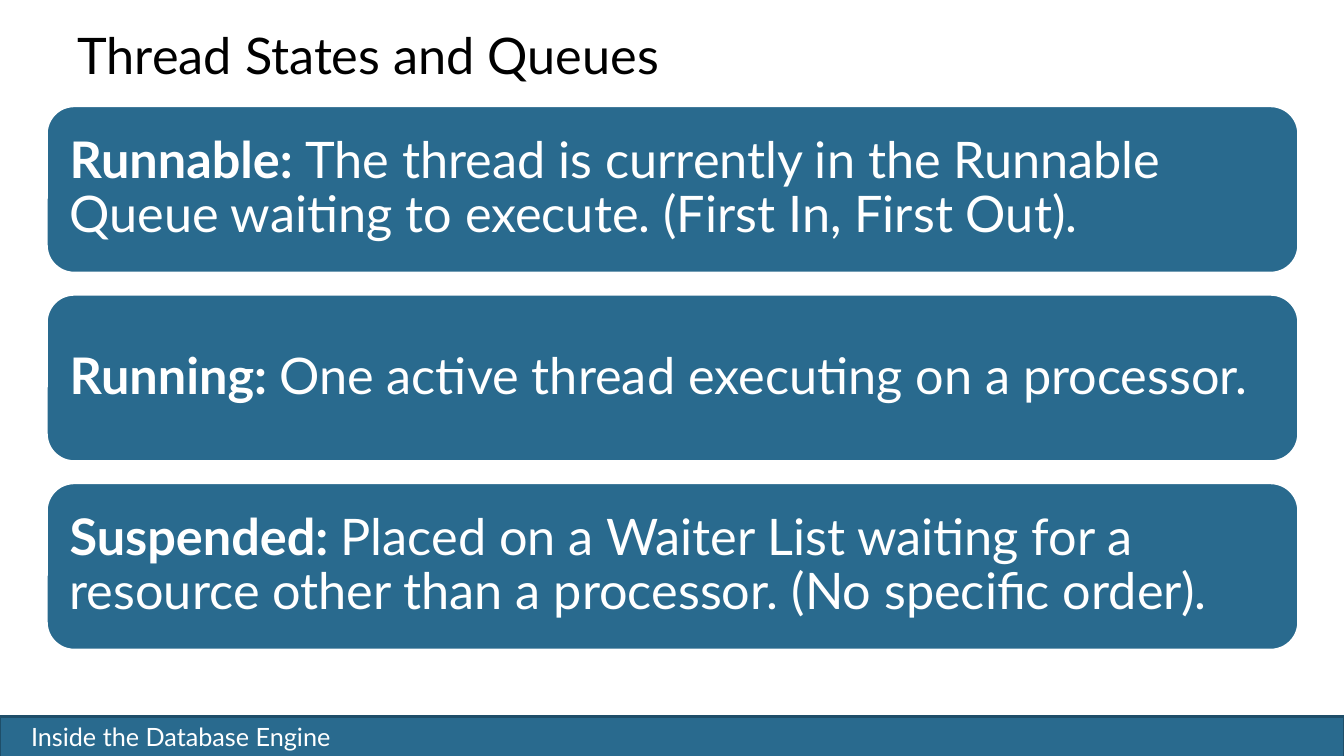
from pptx import Presentation
from pptx.dml.color import RGBColor
from pptx.enum.shapes import MSO_SHAPE as Shape
from pptx.enum.text import MSO_ANCHOR as Anchor, PP_ALIGN as Align
from pptx.util import Inches, Pt

TITLE = "Thread States and Queues"
FOOTER = "Inside the Database Engine"
STATES = [
    ("Runnable: ", "The thread is currently in the Runnable Queue waiting to execute. (First In, First Out)."),
    ("Running: ", "One active thread executing on a processor."),
    ("Suspended: ", "Placed on a Waiter List waiting for a resource other than a processor. (No specific order)."),
]
FONT = "Lato"
BLUE, DARK_BLUE, WHITE, BLACK = "296A8E", "1E4E69", "FFFFFF", "000000"
CARD_LEFT, CARD_TOP, CARD_WIDTH, CARD_HEIGHT = 0.46, 1.05, 12.42, 1.66
CARD_STEP = 1.87
CARD_INSET = 0.15


def color(value):
    return RGBColor.from_string(value)


def add_panel(page, kind, place, line):
    panel = page.shapes.add_shape(kind, *map(Inches, place))
    panel.shadow.inherit = False
    panel.fill.solid()
    panel.fill.fore_color.rgb = color(BLUE)
    panel.line.color.rgb = color(line)
    panel.line.width = Pt(2)
    return panel


def write(box, spans, size, ink, spacing=1.0, anchor=Anchor.TOP):
    """Fill the box with one paragraph of (text, bold) spans."""
    frame = box.text_frame
    frame.word_wrap = True
    frame.vertical_anchor = anchor
    para = frame.paragraphs[0]
    para.alignment = Align.LEFT
    para.line_spacing = spacing
    for text, bold in spans:
        span = para.add_run()
        span.text = text
        span.font.name = FONT
        span.font.size = Pt(size)
        span.font.bold = bold
        span.font.color.rgb = color(ink)


def add_label(page, place, text, size, ink, spacing=1.0):
    box = page.shapes.add_textbox(*map(Inches, place))
    write(box, [(text, False)], size, ink, spacing)


def add_card(page, index, name, meaning):
    place = (CARD_LEFT, CARD_TOP + index * CARD_STEP, CARD_WIDTH, CARD_HEIGHT)
    card = add_panel(page, Shape.ROUNDED_RECTANGLE, place, WHITE)
    frame = card.text_frame
    frame.margin_left = frame.margin_right = Inches(CARD_INSET)
    frame.margin_top = frame.margin_bottom = Inches(CARD_INSET)
    write(card, [(name, True), (meaning, False)], 36, WHITE, 0.9, Anchor.MIDDLE)


def main():
    deck = Presentation()
    deck.slide_width, deck.slide_height = Inches(13.33), Inches(7.5)
    page = deck.slides.add_slide(deck.slide_layouts[6])
    add_panel(page, Shape.RECTANGLE, (0, 7.11, 13.33, 0.4), DARK_BLUE)
    add_label(page, (0.21, 7.11, 5.63, 0.4), FOOTER, 18, WHITE)
    add_label(page, (0.67, 0.3, 12, 1.25), TITLE, 36, BLACK, Pt(35))
    for index, (name, meaning) in enumerate(STATES):
        add_card(page, index, name, meaning)
    deck.save("out.pptx")


if __name__ == "__main__":
    main()
